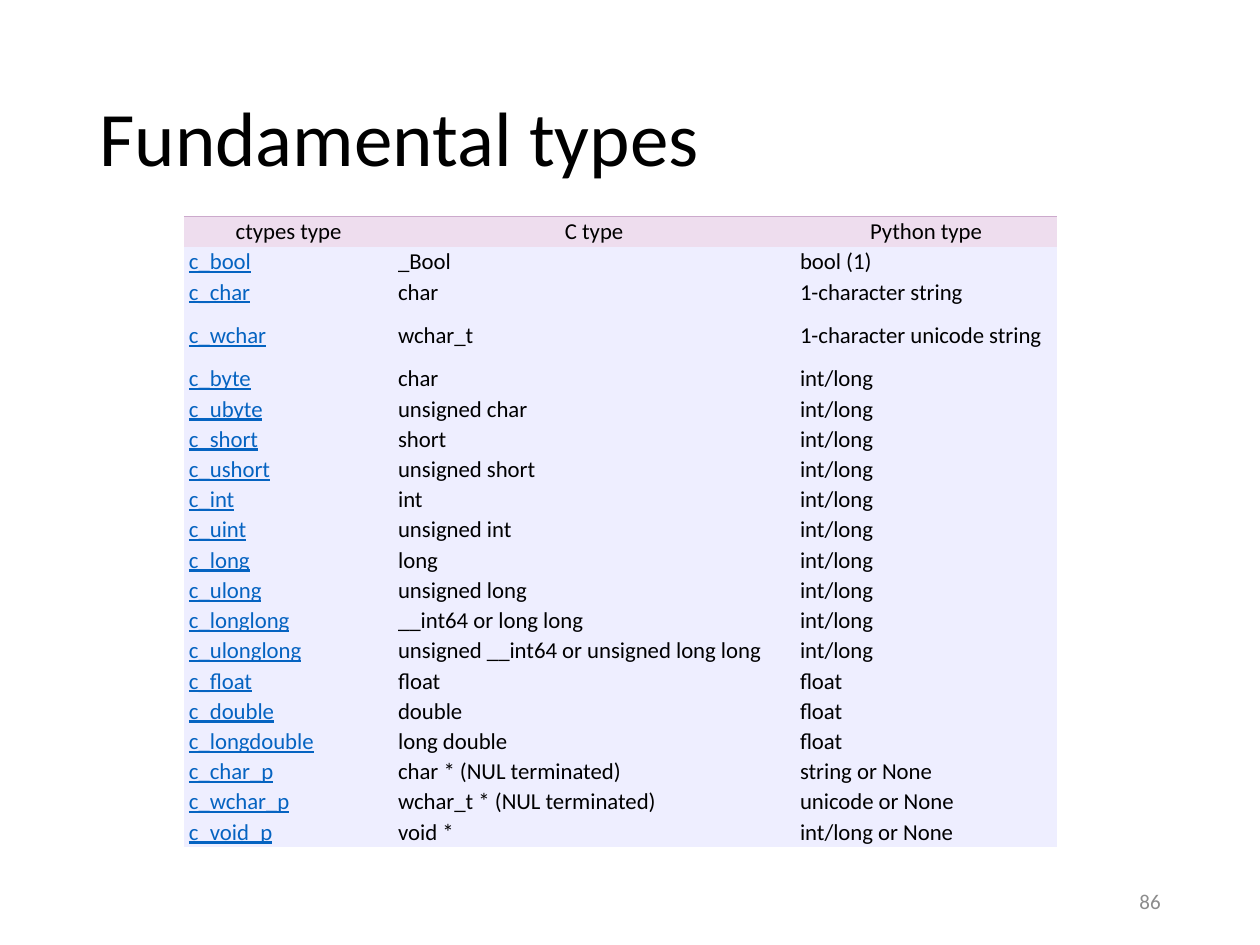
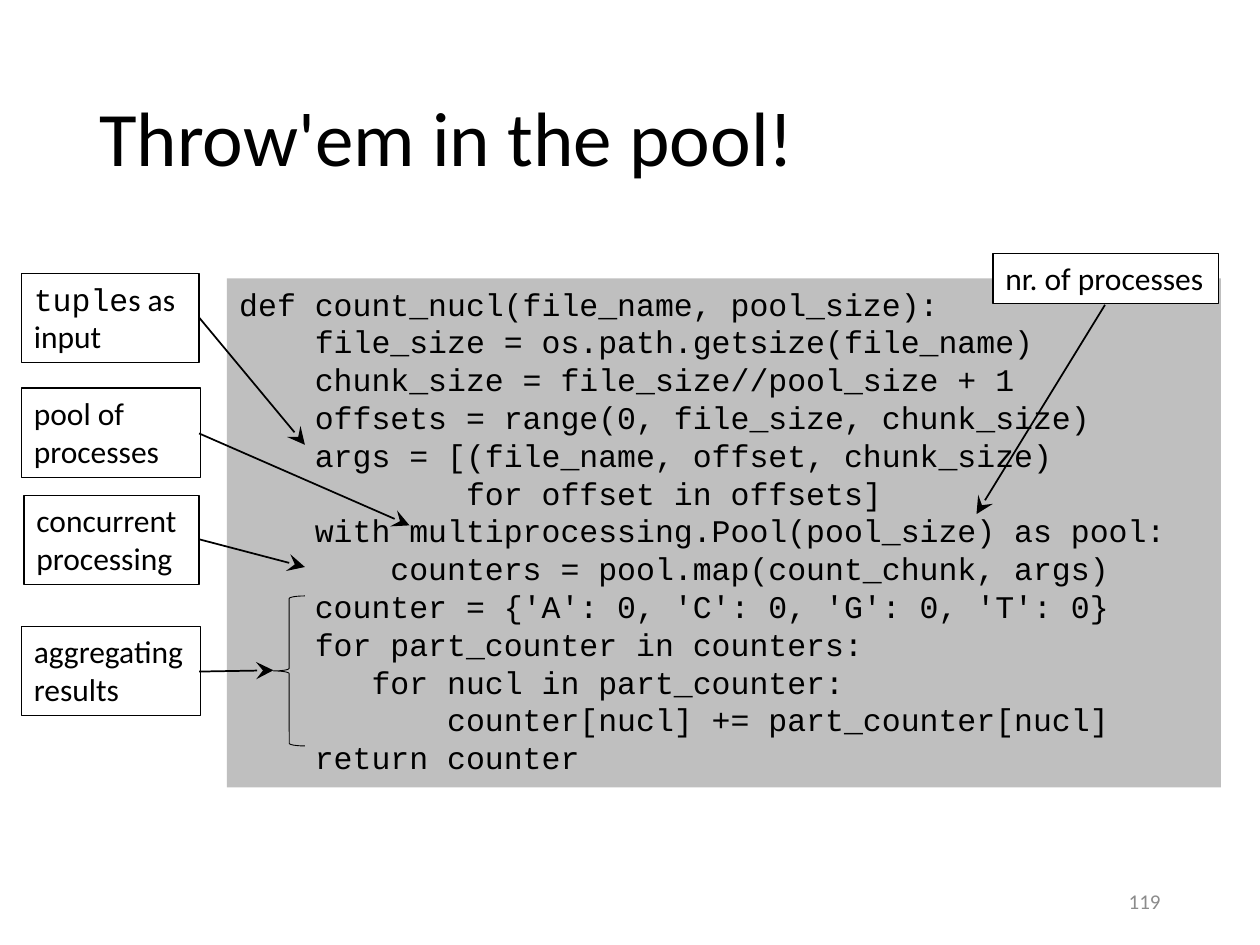
from lxml.etree import SubElement
from pptx import Presentation
from pptx.dml.color import RGBColor
from pptx.enum.shapes import MSO_CONNECTOR, MSO_SHAPE
from pptx.enum.text import MSO_ANCHOR, PP_ALIGN
from pptx.oxml import parse_xml
from pptx.oxml.ns import nsdecls, qn
from pptx.util import Inches, Pt

COLORS = {
    "text": "000000",
    "footer": "8C8C8C",
    "link": "0563C1",
    "header": "EEDDEE",
    "body": "EEEEFF",
    "border": "CCAACC",
    "code": "BFBFBF",
    "white": "FFFFFF",
}
SANS = "Calibri"
MONO = "Courier New"


def add_run(paragraph, text, size, color="text", font=SANS):
    run = paragraph.add_run()
    run.text = text
    run.font.name = font
    run.font.size = Pt(size)
    run.font.color.rgb = RGBColor.from_string(COLORS[color])
    return run


def add_box(slide, kind, at, fill=None, line_width=None):
    shape = slide.shapes.add_shape(kind, *[Inches(value) for value in at])
    shape.shadow.inherit = False
    if fill:
        shape.fill.solid()
        shape.fill.fore_color.rgb = RGBColor.from_string(COLORS[fill])
    else:
        shape.fill.background()
    if line_width:
        shape.line.color.rgb = RGBColor.from_string(COLORS["text"])
        shape.line.width = Pt(line_width)
    else:
        shape.line.fill.background()
    shape.text_frame.vertical_anchor = MSO_ANCHOR.TOP
    shape.text_frame.paragraphs[0].alignment = PP_ALIGN.LEFT
    return shape


presentation = Presentation()
presentation.slide_width = Inches(10)
presentation.slide_height = Inches(7.5)

slides = []
for title, number in [("Fundamental types", "86"), ("Throw'em in the pool!", "119")]:
    slide = presentation.slides.add_slide(presentation.slide_layouts[6])
    slides.append(slide)
    for text, at, size, color, alignment, spacing in [
        (title, (0.69, 0.4, 8.62, 1.45), 44, "text", PP_ALIGN.LEFT, 0.9),
        (number, (7.06, 6.95, 2.25, 0.4), 12, "footer", PP_ALIGN.RIGHT, 1.0),
    ]:
        frame = slide.shapes.add_textbox(*[Inches(value) for value in at]).text_frame
        frame.word_wrap = True
        frame.vertical_anchor = MSO_ANCHOR.MIDDLE
        paragraph = frame.paragraphs[0]
        paragraph.alignment = alignment
        paragraph.line_spacing = spacing
        add_run(paragraph, text, size, color)

types_slide, pool_slide = slides

type_rows = [
    ("ctypes type", "C type", "Python type"),
    ("c_bool", "_Bool", "bool (1)"),
    ("c_char", "char", "1-character string"),
    ("c_wchar", "wchar_t", "1-character unicode string"),
    ("c_byte", "char", "int/long"),
    ("c_ubyte", "unsigned char", "int/long"),
    ("c_short", "short", "int/long"),
    ("c_ushort", "unsigned short", "int/long"),
    ("c_int", "int", "int/long"),
    ("c_uint", "unsigned int", "int/long"),
    ("c_long", "long", "int/long"),
    ("c_ulong", "unsigned long", "int/long"),
    ("c_longlong", "__int64 or long long", "int/long"),
    ("c_ulonglong", "unsigned __int64 or unsigned long long", "int/long"),
    ("c_float", "float", "float"),
    ("c_double", "double", "float"),
    ("c_longdouble", "long double", "float"),
    ("c_char_p", "char * (NUL terminated)", "string or None"),
    ("c_wchar_p", "wchar_t * (NUL terminated)", "unicode or None"),
    ("c_void_p", "void *", "int/long or None"),
]
table = types_slide.shapes.add_table(
    len(type_rows), 3, Inches(1.46), Inches(1.72), Inches(6.93), Inches(5.1)
).table
table.first_row = False
table.horz_banding = False
table._tbl.tblPr.find(qn("a:tableStyleId")).text = "{2D5ABB26-0587-4C30-8999-92F81FD0307C}"
for column, width in zip(table.columns, (1.66, 3.19, 2.08)):
    column.width = Inches(width)

for row_index, type_row in enumerate(type_rows):
    is_header = row_index == 0
    table.rows[row_index].height = Inches(0.45 if type_row[0] == "c_wchar" else 0.24)
    for column_index, text in enumerate(type_row):
        is_link = column_index == 0 and not is_header
        cell = table.cell(row_index, column_index)
        cell.margin_left = cell.margin_right = Inches(0.04)
        cell.margin_top = cell.margin_bottom = Inches(0.01)
        cell.vertical_anchor = MSO_ANCHOR.MIDDLE
        cell.fill.solid()
        cell.fill.fore_color.rgb = RGBColor.from_string(COLORS["header" if is_header else "body"])
        paragraph = cell.text_frame.paragraphs[0]
        paragraph.alignment = PP_ALIGN.CENTER if is_header else PP_ALIGN.LEFT
        run = add_run(paragraph, text, 13, "link" if is_link else "text")
        if is_link:
            run.font.underline = True
        if is_header:
            cell._tc.get_or_add_tcPr().insert(0, parse_xml(
                f'<a:lnT {nsdecls("a")} w="{Pt(0.73)}"><a:solidFill>'
                f'<a:srgbClr val="{COLORS["border"]}"/></a:solidFill></a:lnT>'
            ))

code = """\
def count_nucl(file_name, pool_size):
    file_size = os.path.getsize(file_name)
    chunk_size = file_size//pool_size + 1
    offsets = range(0, file_size, chunk_size)
    args = [(file_name, offset, chunk_size)
            for offset in offsets]
    with multiprocessing.Pool(pool_size) as pool:
        counters = pool.map(count_chunk, args)
    counter = {'A': 0, 'C': 0, 'G': 0, 'T': 0}
    for part_counter in counters:
       for nucl in part_counter:
           counter[nucl] += part_counter[nucl]
    return counter"""
code_frame = add_box(pool_slide, MSO_SHAPE.RECTANGLE, (1.8, 2.21, 7.89, 4.04), "code").text_frame
code_frame.word_wrap = False
for line_index, code_line in enumerate(code.splitlines()):
    paragraph = code_frame.add_paragraph() if line_index else code_frame.paragraphs[0]
    paragraph.alignment = PP_ALIGN.LEFT
    add_run(paragraph, code_line, 18, font=MONO)

callouts = [
    ([[("tuple", MONO), ("s as", SANS)], [("input", SANS)]],
     (0.17, 2.17, 1.41, 0.71), None, (1.58, 2.52), (2.42, 3.53)),
    ([[("pool of", SANS)], [("processes", SANS)]],
     (0.17, 3.08, 1.42, 0.71), None, (1.58, 3.44), (3.25, 4.17)),
    ([[("concurrent", SANS)], [("processing", SANS)]],
     (0.19, 3.93, 1.39, 0.71), None, (1.58, 4.28), (2.42, 4.5)),
    ([[("aggregating", SANS)], [("results", SANS)]],
     (0.17, 4.97, 1.42, 0.71), None, (1.58, 5.33), (2.17, 5.32)),
    ([[("nr. of processes", SANS)]],
     (7.88, 2.01, 1.79, 0.4), "white", (8.77, 2.42), (7.75, 4.08)),
]
for lines, at, fill, start, end in callouts:
    frame = add_box(pool_slide, MSO_SHAPE.RECTANGLE, at, fill, 0.75).text_frame
    frame.word_wrap = len(lines) > 1
    paragraph = frame.paragraphs[0]
    for line_index, line in enumerate(lines):
        if line_index:
            paragraph.add_line_break()
        for text, font in line:
            add_run(paragraph, text, 18, font=font)
    arrow = pool_slide.shapes.add_connector(
        MSO_CONNECTOR.STRAIGHT, *[Inches(value) for value in start + end]
    )
    arrow.line.color.rgb = RGBColor.from_string(COLORS["text"])
    arrow.line.width = Pt(1)
    SubElement(arrow.line._get_or_add_ln(), qn("a:tailEnd"), type="stealth", w="lg", len="lg")
    SubElement(arrow._element.spPr, qn("a:effectLst"))

add_box(pool_slide, MSO_SHAPE.LEFT_BRACE, (2.17, 4.73, 0.25, 1.19), line_width=0.5)

presentation.save("out.pptx")
